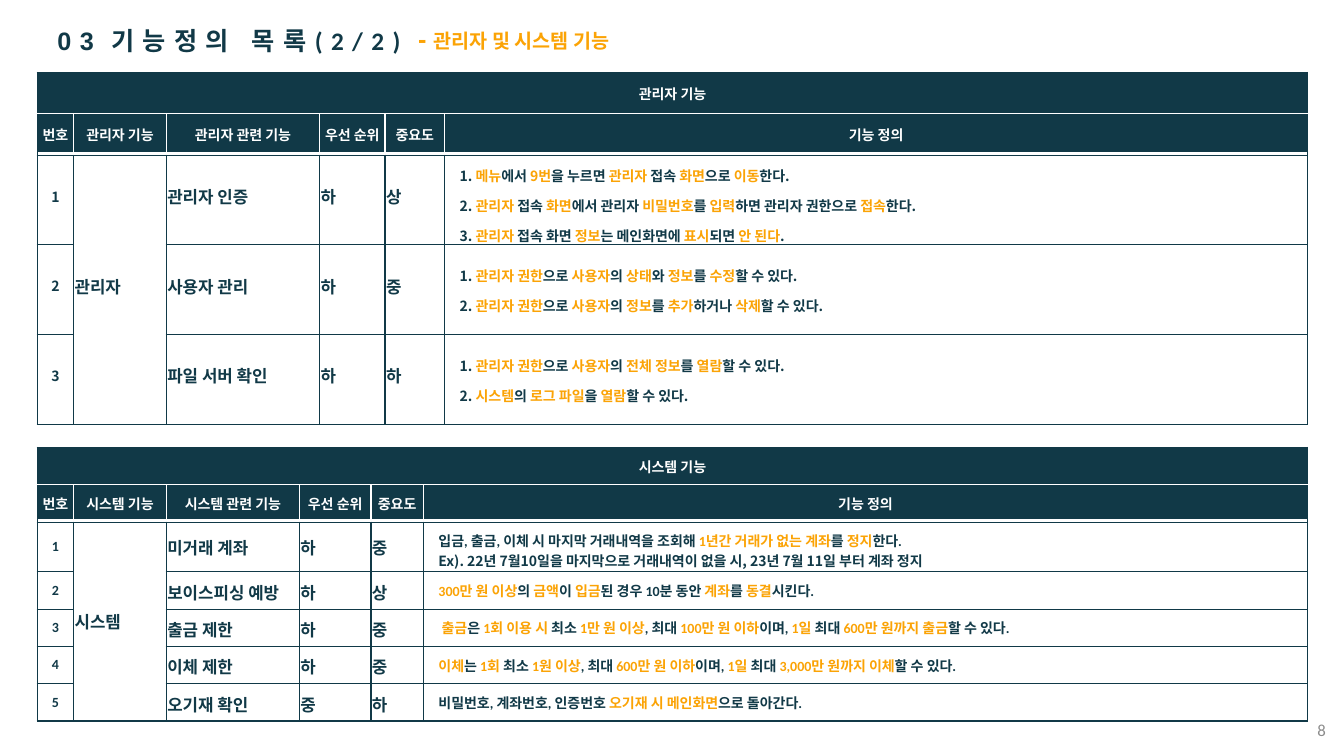
from lxml.etree import SubElement
from pptx import Presentation
from pptx.dml.color import RGBColor
from pptx.enum.text import MSO_ANCHOR as Anchor, MSO_AUTO_SIZE as AutoSize, PP_ALIGN as Align
from pptx.oxml.ns import qn
from pptx.util import Inches, Pt

NAVY, ORANGE, WHITE, GRAY = "113947", "FBA305", "FFFFFF", "8C8C8C"
KOREAN, LATIN, TITLE = "Noto Sans CJK KR", "Calibri", "Arial"

ADMIN_HEADERS = ["번호", "관리자 기능", "관리자 관련 기능", "우선 순위", "중요도", "기능 정의"]
ADMIN_ROWS = [
    ("관리자 인증", "하", "상",
     "1. *메뉴*에서 *9번*을 누르면 *관리자* 접속 *화면*으로 *이동*한다.\n"
     "2. *관리자 *접속 *화면*에서 관리자 *비밀번호*를 *입력*하면 관리자 권한으로 *접속*한다.\n"
     "3. *관리자* 접속 화면 *정보*는 메인화면에 *표시*되면 *안 된다*."),
    ("사용자 관리", "하", "중",
     "1. *관리자 권한*으로 *사용자*의 *상태*와 *정보*를 *수정*할 수 있다.\n"
     "2. *관리자 권한*으로 *사용자*의 *정보*를 *추가*하거나 *삭제*할 수 있다."),
    ("파일 서버 확인", "하", "하",
     "1. *관리자 권한*으로 *사용자*의 *전체 정보*를 *열람*할 수 있다.\n"
     "2. *시스템*의 *로그 파일*을 *열람*할 수 있다."),
]
SYSTEM_HEADERS = ["번호", "시스템 기능", "시스템 관련 기능", "우선 순위", "중요도", "기능 정의"]
SYSTEM_ROWS = [
    ("미거래 계좌", "하", "중",
     "입금, 출금, 이체 시 마지막 거래내역을 조회해 *1년간 거래가 없는 계좌*를 *정지*한다.\n"
     "Ex). 22년 7월10일을 마지막으로 거래내역이 없을 시, 23년 7월 11일 부터 계좌 정지"),
    ("보이스피싱 예방", "하", "상",
     "*300만 원 이상*의 *금액*이 *입금*된 경우 10분 동안 *계좌*를 *동결*시킨다."),
    ("출금 제한", "하", "중",
     " *출금*은 *1회 이용 시* 최소 *1만 원 이상*, 최대 *100만 원 이하*이며, "
     "*1일* 최대 *600만 원까지 출금*할 수 있다."),
    ("이체 제한", "하", "중",
     "*이체*는 *1회* 최소 *1원 이상*, 최대 *600만 원 이하*이며, "
     "*1일* 최대 *3,000만 원까지 이체*할 수 있다."),
    ("오기재 확인", "중", "하",
     "비밀번호, 계좌번호, 인증번호 *오기재 시 메인화면*으로 돌아간다."),
]


def color(value):
    return RGBColor.from_string(value)


class SlideBuilder:
    def __init__(self, slide):
        self.slide = slide

    def style(self, font, name, size, value, bold=True):
        font.name, font.size, font.bold = name, Pt(size), bold
        font.color.rgb = color(value)

    def place(self, shape, left, top, width, height):
        shape.left, shape.top = Inches(left), Inches(top)
        shape.width, shape.height = Inches(width), Inches(height)

    def title(self, pieces, *box):
        shape = self.slide.shapes.title
        self.place(shape, *box)
        frame = shape.text_frame
        frame.auto_size, frame.vertical_anchor = AutoSize.NONE, Anchor.TOP
        paragraph = frame.paragraphs[0]
        paragraph.alignment = Align.LEFT
        for text, name, size in pieces:
            run = paragraph.add_run()
            run.text = text
            self.style(run.font, name, size, NAVY)
            run.font._element.set("spc", "600")

    def text(self, pieces, box, name, value, bold, align=Align.LEFT, anchor=Anchor.TOP):
        frame = self.slide.shapes.add_textbox(*map(Inches, box)).text_frame
        frame.word_wrap, frame.vertical_anchor = True, anchor
        paragraph = frame.paragraphs[0]
        paragraph.alignment = align
        for text, size in pieces:
            run = paragraph.add_run()
            run.text = text
            self.style(run.font, name, size, value, bold)

    def marked(self, paragraph, text):
        for index, piece in enumerate(text.split("*")):
            if piece:
                run = paragraph.add_run()
                run.text = piece
                if index % 2:
                    run.font.color.rgb = color(ORANGE)

    def borders(self, cell, left, right, top, bottom):
        properties = cell._tc.get_or_add_tcPr()
        for side, value in zip("LRTB", (left, right, top, bottom)):
            line = SubElement(properties, qn(f"a:ln{side}"), w=str(Pt(1)))
            fill = SubElement(line, qn("a:solidFill"))
            SubElement(fill, qn("a:srgbClr"), val=value)

    def cell(self, cell, text, name, size, value, align, side, top, spacing=None):
        cell.vertical_anchor = Anchor.MIDDLE
        cell.margin_left = cell.margin_right = Inches(side)
        cell.margin_top, cell.margin_bottom = Inches(top), Inches(0.08)
        paragraph = cell.text_frame.paragraphs[0]
        paragraph.alignment = align
        if spacing:
            paragraph.line_spacing = spacing
        self.style(paragraph.font, name, size, value)
        for index, line in enumerate(text.split("\n")):
            if index and spacing:
                paragraph.add_line_break()
            elif index:
                paragraph = cell.text_frame.add_paragraph()
                self.style(paragraph.font, KOREAN, size, value)
            self.marked(paragraph, line)

    def header(self, cell, text, name, left, right, top, bottom, banded):
        self.cell(cell, text, name, 10, WHITE, Align.CENTER, 0.01, 0.08)
        self.borders(cell, left, right, top, bottom)
        if not banded:
            cell.fill.solid()
            cell.fill.fore_color.rgb = color(NAVY)
            return
        cell.fill.gradient()
        cell.fill.gradient_angle = 270
        for stop, value in zip(cell.fill.gradient_stops, (NAVY, WHITE)):
            stop.position = 0.93
            stop.color.rgb = color(value)

    def table(self, heading, group, headers, rows, top, widths, heights, name,
              cell_top, spacing=None):
        count, last = len(headers), len(headers) - 1
        frame = self.slide.shapes.add_table(
            len(heights), count, Inches(0.37), Inches(top),
            Inches(sum(widths)), Inches(sum(heights)))
        table = frame.table
        table.first_row = table.horz_banding = False
        properties = table._tbl.tblPr
        properties.remove(properties.find(qn("a:tableStyleId")))
        for column, width in zip(table.columns, widths):
            column.width = Inches(width)
        for row, height in zip(table.rows, heights):
            row.height = Inches(height)

        for column, label in enumerate(headers):
            self.header(table.cell(0, column), "" if column else heading, name,
                        NAVY, NAVY, NAVY, WHITE, False)
            self.header(table.cell(1, column), label, name,
                        WHITE if column else NAVY, NAVY if column == last else WHITE,
                        WHITE, NAVY, True)
        for number, (feature, priority, importance, definition) in enumerate(rows, 1):
            values = (str(number), group if number == 1 else "",
                      feature, priority, importance, definition)
            for column, value in enumerate(values):
                cell = table.cell(number + 1, column)
                self.cell(cell, value, name, 10 if column in (0, last) else 12, NAVY,
                          Align.LEFT if column else Align.CENTER,
                          0.15 if column == last else 0.01, cell_top,
                          spacing if column == last else None)
                self.borders(cell, NAVY, NAVY, NAVY, NAVY)
                cell.fill.background()
        table.cell(0, 0).merge(table.cell(0, last))
        table.cell(2, 1).merge(table.cell(len(rows) + 1, 1))


def main():
    presentation = Presentation()
    presentation.slide_width, presentation.slide_height = Inches(13.33), Inches(7.5)
    builder = SlideBuilder(presentation.slides.add_slide(presentation.slide_layouts[5]))
    builder.title([("03", TITLE, 18), (" ", LATIN, 1), ("기능정의 목록(2/2)", LATIN, 18)],
                  0.47, 0.2, 3.87, 0.4)
    builder.text([("- ", 18), ("관리자 및 시스템 기능", 14)],
                 (4.05, 0.18, 2.74, 0.4), TITLE, ORANGE, True)
    builder.table("관리자 기능", "관리자", ADMIN_HEADERS, ADMIN_ROWS, 0.72,
                  [0.36, 0.92, 1.52, 0.65, 0.59, 8.56], [0.41] * 2 + [0.89] * 3,
                  KOREAN, 0, 1.5)
    builder.table("시스템 기능", "시스템", SYSTEM_HEADERS, SYSTEM_ROWS, 4.44,
                  [0.36, 0.92, 1.32, 0.71, 0.52, 8.77], [0.37] * 7, LATIN, 0.08)
    builder.text([("8", 12)], (10.25, 7.04, 3, 0.4), LATIN, GRAY, False,
                 Align.RIGHT, Anchor.MIDDLE)
    presentation.save("out.pptx")


if __name__ == "__main__":
    main()
